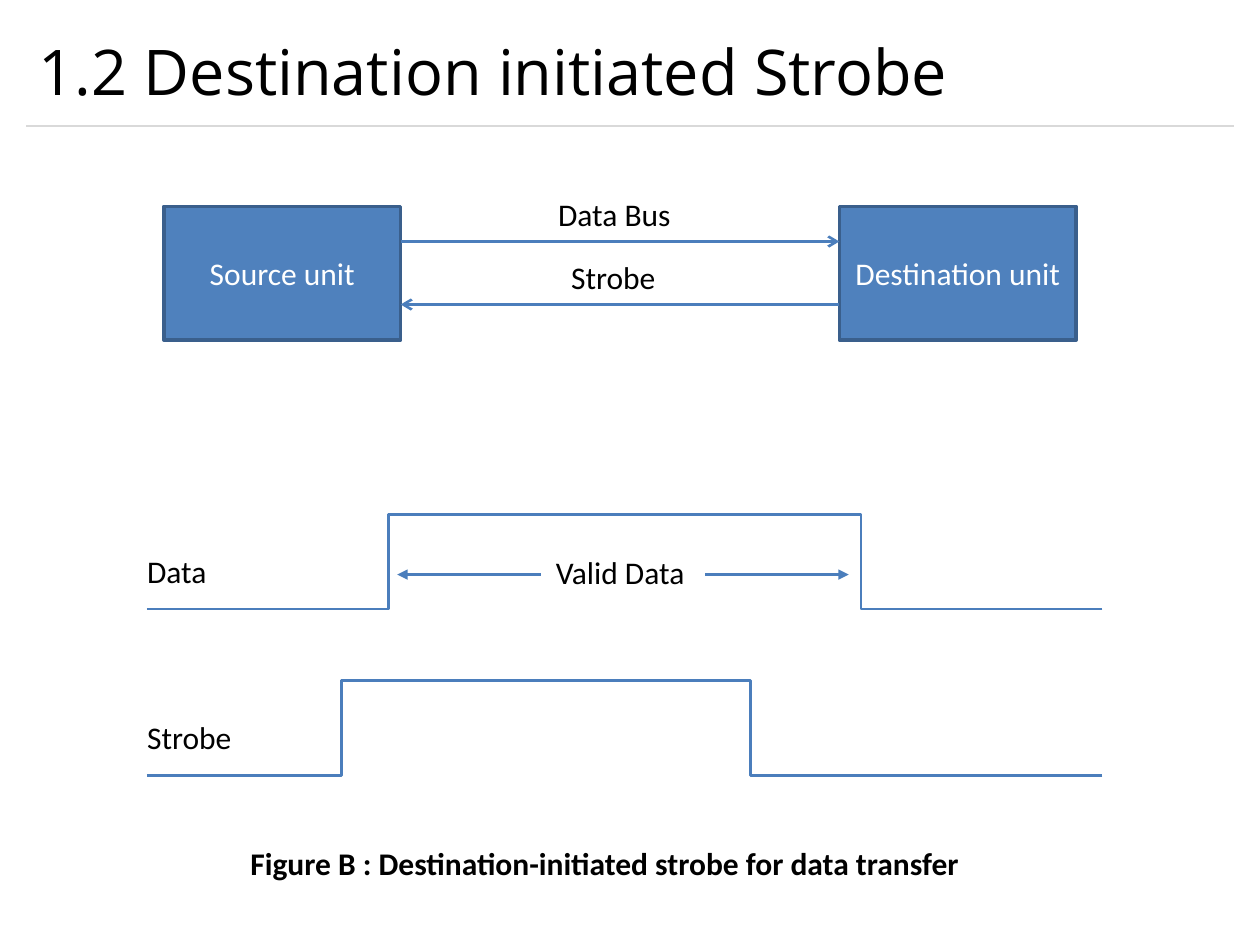
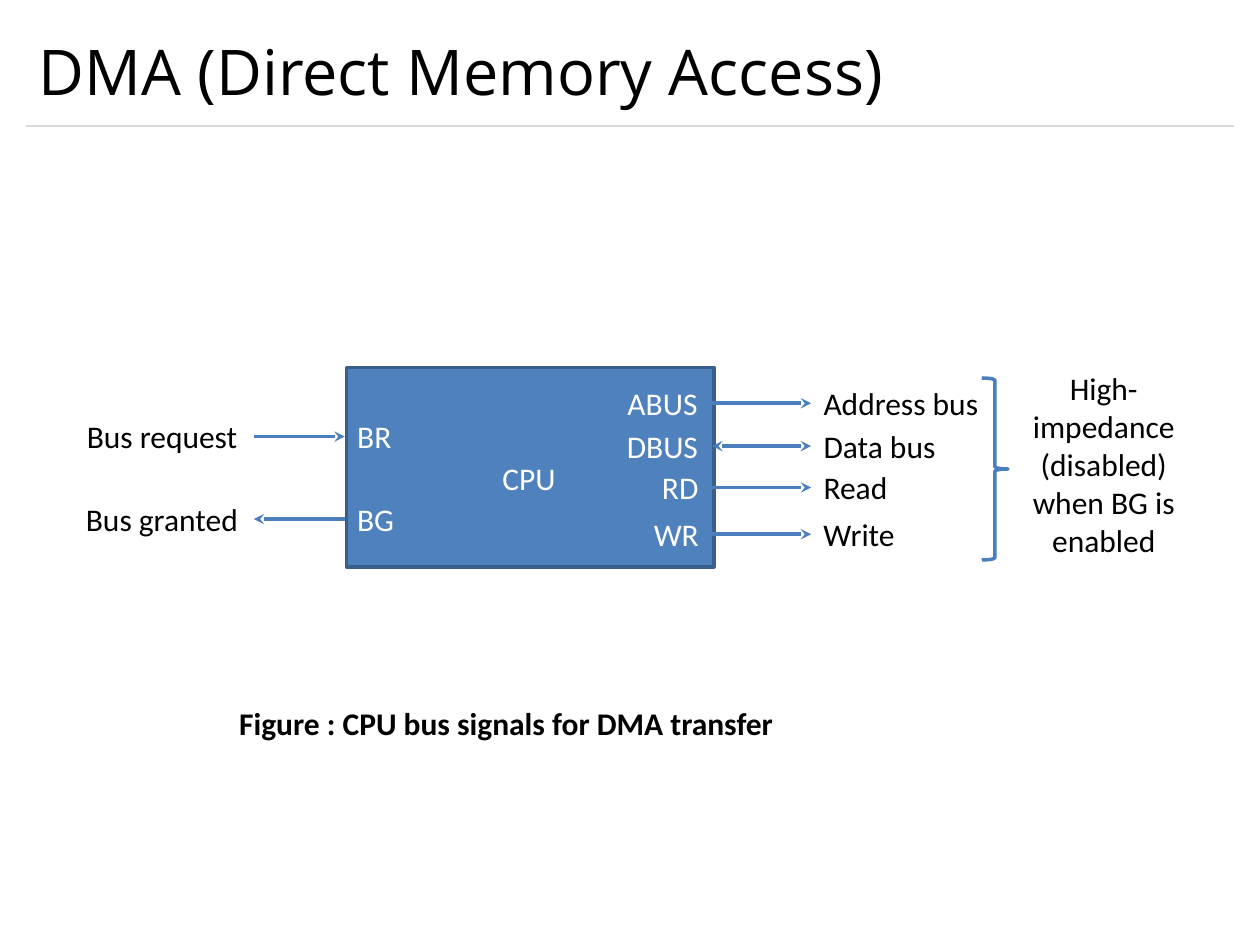
import lxml.etree
import pptx
import pptx.dml.color
import pptx.enum.shapes
import pptx.enum.text
import pptx.oxml.ns
import pptx.util

Pt = pptx.util.Pt
qn = pptx.oxml.ns.qn
ALIGN = pptx.enum.text.PP_ALIGN
ANCHOR = pptx.enum.text.MSO_ANCHOR
SHAPE = pptx.enum.shapes.MSO_SHAPE
CONNECTOR = pptx.enum.shapes.MSO_CONNECTOR

COLORS = {
    "text": "000000",
    "inverse": "FFFFFF",
    "block": "4F81BD",
    "border": "3A5F8C",
    "signal": "4B7EBC",
    "divider": "D9D9D9",
}
TITLE_FONT, BODY_FONT = "Open Sans", "Calibri"
TITLE_SIZE, BODY_SIZE = 36, 18
TITLE_BOX = (15, 8.6, 690, 63.4)
LABEL_HEIGHT = 29


def rgb(name):
    """Return the named colour."""
    return pptx.dml.color.RGBColor.from_string(COLORS[name])


def write(text_frame, text, color="text", size=BODY_SIZE, font=BODY_FONT, bold=False, align=ALIGN.LEFT):
    """Fill a text frame with one formatted paragraph."""
    text_frame.text = text
    paragraph = text_frame.paragraphs[0]
    paragraph.alignment = align
    for run in paragraph.runs:
        run.font.name = font
        run.font.size = Pt(size)
        run.font.bold = bold
        run.font.color.rgb = rgb(color)


def add_label(slide, text, left, top, width, height=LABEL_HEIGHT, wrap=True, **style):
    """Add a text box that grows with its text."""
    label = slide.shapes.add_textbox(Pt(left), Pt(top), Pt(width), Pt(height))
    text_frame = label.text_frame
    text_frame.word_wrap = wrap
    text_frame.auto_size = pptx.enum.text.MSO_AUTO_SIZE.SHAPE_TO_FIT_TEXT
    write(text_frame, text, **style)


def add_line(slide, start, end, width=1.5, color="signal", head=None, tail=None, bend=None):
    """Add a straight line, or an elbow that turns at the x position bend."""
    kind = CONNECTOR.STRAIGHT if bend is None else CONNECTOR.ELBOW
    connector = slide.shapes.add_connector(kind, *map(Pt, (*start, *end)))
    connector.line.width = Pt(width)
    connector.line.color.rgb = rgb(color)
    properties = connector.element.spPr
    outline = properties.find(qn("a:ln"))
    for tag, arrow in (("a:headEnd", head), ("a:tailEnd", tail)):
        if arrow:
            lxml.etree.SubElement(outline, qn(tag), type=arrow)
    lxml.etree.SubElement(properties, qn("a:effectLst"))
    if bend is not None:
        ratio = round(100000 * (bend - start[0]) / (end[0] - start[0]))
        guides = properties.find(qn("a:prstGeom")).find(qn("a:avLst"))
        lxml.etree.SubElement(guides, qn("a:gd"), name="adj1", fmla=f"val {ratio}")


def add_block(slide, box, text=None):
    """Add a filled unit rectangle."""
    block = slide.shapes.add_shape(SHAPE.RECTANGLE, *map(Pt, box))
    block.shadow.inherit = False
    block.fill.solid()
    block.fill.fore_color.rgb = rgb("block")
    block.line.color.rgb = rgb("border")
    block.line.width = Pt(2)
    if text:
        block.text_frame.vertical_anchor = ANCHOR.MIDDLE
        write(block.text_frame, text, color="inverse", align=ALIGN.CENTER)


def add_titled_slide(presentation, title):
    """Add a slide with the shared title style and divider."""
    slide = presentation.slides.add_slide(presentation.slide_layouts[5])
    placeholder = slide.shapes.title
    placeholder.left, placeholder.top, placeholder.width, placeholder.height = map(Pt, TITLE_BOX)
    placeholder.text_frame.vertical_anchor = ANCHOR.MIDDLE
    write(placeholder.text_frame, title, size=TITLE_SIZE, font=TITLE_FONT)
    left, top, width, height = TITLE_BOX
    add_line(slide, (left, top + height), (left + width, top + height), width=0.75, color="divider")
    return slide


def add_units(slide, box):
    """Draw the two units and the signals that run between them."""
    left, top, width, height = box
    unit_width = 135.4
    source_edge, destination_edge = left + unit_width, left + width - unit_width
    add_block(slide, (left, top, unit_width, height), "Source unit")
    add_block(slide, (destination_edge, top, unit_width, height), "Destination unit")
    signals = [
        ("Data Bus", 85, 20, source_edge, destination_edge),
        ("Strobe", 70, 56, destination_edge, source_edge),
    ]
    for text, label_width, offset, start, end in signals:
        y = top + offset
        add_line(slide, (start, y), (end, y), tail="arrow")
        add_label(slide, text, (start + end - label_width) / 2, y - 30, label_width)


def add_waveform(slide, box, name, rise, fall):
    """Draw a named pulse that rises and falls at the given x offsets."""
    left, top, width, height = box
    right, bottom, reach = left + width, top + height, 275
    add_line(slide, (left, bottom), (left + reach, top), bend=left + rise)
    add_line(slide, (right, bottom), (right - reach, top), bend=left + fall)
    add_label(slide, name, left - 7, top + 18, 70)


def add_valid_span(slide, box):
    """Mark the span of valid data with a label and outward arrows."""
    left, top, width, height = box
    arrow_length, label_width = 82, 93
    right, middle = left + width, top + height / 2
    add_line(slide, (right - arrow_length, middle), (right, middle), tail="triangle")
    add_line(slide, (left + arrow_length, middle), (left, middle), tail="triangle")
    add_label(slide, "Valid Data", left + (width - label_width) / 2 + 1, top, label_width, height)


def add_port(slide, y, port, port_box, signal, signal_box, ends, **arrows):
    """Draw one port of the processor with its arrow and signal name."""
    top = y - LABEL_HEIGHT / 2
    port_left, port_width = port_box
    signal_left, signal_width = signal_box
    add_line(slide, (ends[0], y), (ends[1], y), width=2, **arrows)
    add_label(slide, port, port_left, top, port_width, wrap=False, color="inverse")
    add_label(slide, signal, signal_left, top, signal_width, wrap=False)


def add_processor(slide, box):
    """Draw the processor with its ports on both sides."""
    left, top, width, height = box
    right = left + width
    add_block(slide, box)
    add_label(slide, "CPU", left + 82, top + 48.5, 45, wrap=False, color="inverse")
    left_ports = [
        (39.5, "BR", 35, "Bus request", 101.5, {"tail": "stealth"}),
        (86.6, "BG", 36, "Bus granted", 102, {"head": "stealth"}),
    ]
    for offset, port, port_width, signal, signal_width, arrows in left_ports:
        signal_box = (left - 54 - signal_width, signal_width)
        add_port(slide, top + offset, port, (left - 1, port_width), signal, signal_box,
                 (left - 53, left - 1), **arrows)
    right_ports = [
        (20.4, "ABUS", 55, "Address bus", 104, {"tail": "stealth"}),
        (44.9, "DBUS", 55.4, "Data bus", 79, {"head": "stealth", "tail": "stealth"}),
        (68.6, "RD", 35.3, "Read", 51, {"tail": "stealth"}),
        (95.3, "WR", 40, "Write", 55.4, {"tail": "stealth"}),
    ]
    for offset, port, port_width, signal, signal_width, arrows in right_ports:
        port_box = (right - 1.5 - port_width, port_width)
        add_port(slide, top + offset, port, port_box, signal, (right + 55.5, signal_width),
                 (right - 1, right + 55.5), **arrows)


def add_impedance_note(slide, box):
    """Draw the brace and the note on the signals it gathers."""
    left, top, width, height = box
    brace = slide.shapes.add_shape(SHAPE.RIGHT_BRACE, Pt(left), Pt(top + 8.5), Pt(15), Pt(104))
    brace.shadow.inherit = False
    brace.fill.background()
    brace.line.color.rgb = rgb("signal")
    brace.line.width = Pt(2)
    add_label(slide, "High-impedance (disabled) when BG is enabled", left + 10, top,
              width - 10, height, align=ALIGN.CENTER)


def build_strobe_slide(presentation):
    """Build the slide on the strobe started by the destination."""
    slide = add_titled_slide(presentation, "1.2 Destination initiated Strobe")
    add_units(slide, (93.6, 118, 521.4, 76.3))
    add_waveform(slide, (84, 294, 546, 54), "Data", 138, 408)
    add_waveform(slide, (84, 389, 546, 54), "Strobe", 111, 345)
    add_valid_span(slide, (227, 312.5, 258, 31.7))
    add_label(slide, "Figure B : Destination-initiated strobe for data transfer", 136, 478.8, 520.6, bold=True)


def build_dma_slide(presentation):
    """Build the slide on the bus signals for direct memory access."""
    slide = add_titled_slide(presentation, "DMA (Direct Memory Access)")
    add_processor(slide, (198, 210, 210, 114))
    add_impedance_note(slide, (561, 207.5, 129.5, 116.6))
    add_label(slide, "Figure : CPU bus signals for DMA transfer", 129.6, 399, 360, bold=True)


def main():
    """Build and save the presentation."""
    presentation = pptx.Presentation()
    presentation.slide_width, presentation.slide_height = Pt(720), Pt(540)
    build_strobe_slide(presentation)
    build_dma_slide(presentation)
    presentation.save("out.pptx")


if __name__ == "__main__":
    main()
